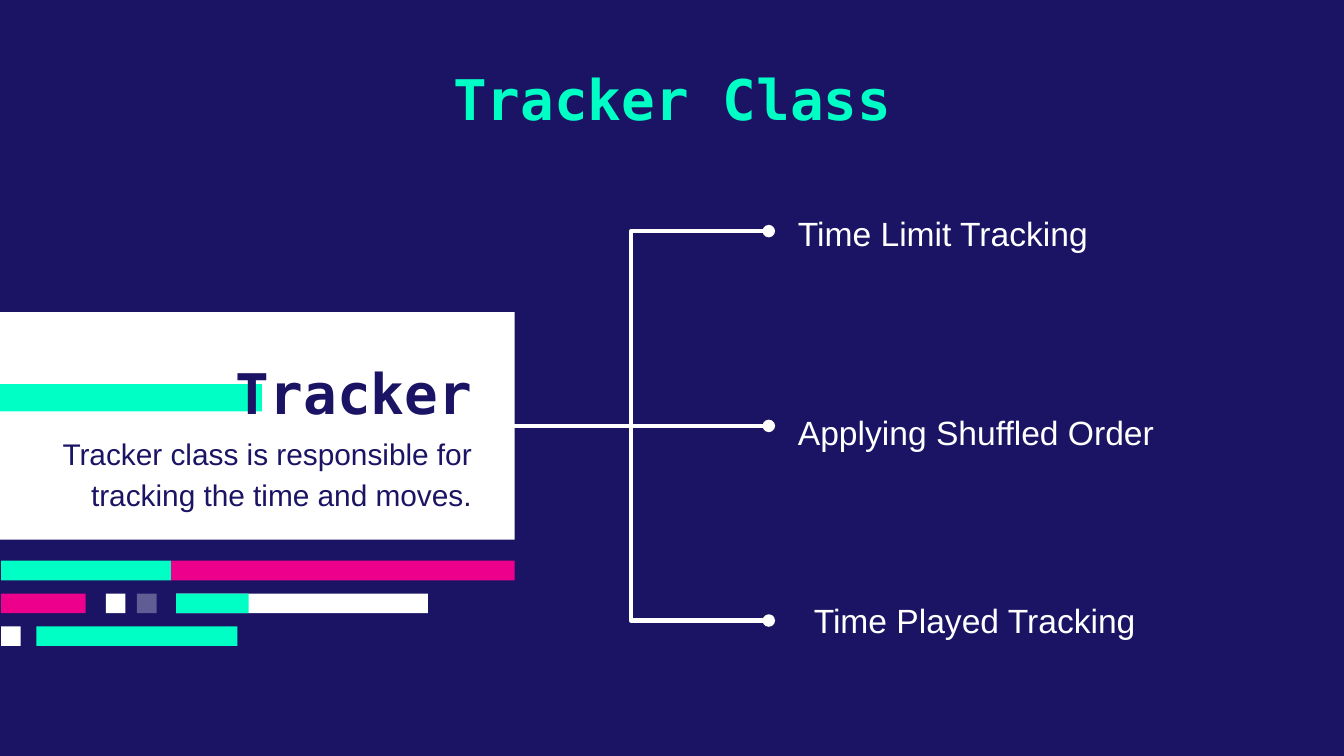
import pptx
import pptx.dml.color
import pptx.enum.shapes
import pptx.enum.text
import pptx.oxml.ns
import pptx.util
from lxml import etree

Cm = pptx.util.Cm
Align = pptx.enum.text.PP_ALIGN
Anchor = pptx.enum.text.MSO_ANCHOR
Connector = pptx.enum.shapes.MSO_CONNECTOR
qn = pptx.oxml.ns.qn


def color(value):
    return pptx.dml.color.RGBColor.from_string(value)


def write(box, text, font="Arial", size=18, ink="FFFFFF", bold=False,
          align=Align.LEFT, anchor=Anchor.TOP, spacing=None, indent=0, inset=0):
    frame = box.text_frame
    frame.word_wrap = True
    frame.vertical_anchor = anchor
    frame.margin_left = frame.margin_right = Cm(0.25)
    frame.margin_top = frame.margin_bottom = Cm(inset)
    para = frame.paragraphs[0]
    para.alignment = align
    if spacing:
        para.line_spacing = spacing
    if indent:
        para._p.get_or_add_pPr().set("marL", str(Cm(indent)))
    span = para.add_run()
    span.text = text
    span.font.name = font
    span.font.size = pptx.util.Pt(size)
    span.font.bold = bold
    span.font.color.rgb = color(ink)


class Slide:
    navy, mint, pink, white = "1B1464", "00FFC5", "EC008C", "FFFFFF"
    mono = "DejaVu Sans Mono"

    def __init__(self, deck):
        self.page = deck.slides.add_slide(deck.slide_layouts[6])
        fill = self.page.background.fill
        fill.solid()
        fill.fore_color.rgb = color(self.navy)

    def text(self, left, top, width, height, words, **style):
        box = self.page.shapes.add_textbox(Cm(left), Cm(top), Cm(width), Cm(height))
        write(box, words, **style)

    def bar(self, left, top, width, height, paint, opacity=100):
        shape = self.page.shapes.add_shape(
            pptx.enum.shapes.MSO_SHAPE.RECTANGLE,
            Cm(left), Cm(top), Cm(width), Cm(height))
        shape.shadow.inherit = False
        shape.fill.solid()
        shape.fill.fore_color.rgb = color(paint)
        shape.line.fill.background()
        if opacity < 100:
            tint = shape._element.spPr.find(qn("a:solidFill"))[0]
            etree.SubElement(tint, qn("a:alpha"), val=str(opacity * 1000))

    def branch(self, kind, left, top, right, bottom):
        link = self.page.shapes.add_connector(
            kind, Cm(left), Cm(top), Cm(right), Cm(bottom))
        link.line.color.rgb = color(self.white)
        link.line.width = pptx.util.Pt(2.25)
        etree.SubElement(link.line._get_or_add_ln(), qn("a:tailEnd"), type="oval")
        etree.SubElement(link._element.spPr, qn("a:effectLst"))


def main():
    deck = pptx.Presentation()
    deck.slide_width, deck.slide_height = Cm(25.4), Cm(14.29)
    slide = Slide(deck)
    navy, mint, pink, white = slide.navy, slide.mint, slide.pink, slide.white
    heading = dict(font=slide.mono, size=30, bold=True)

    slide.bar(0, 5.9, 9.73, 4.3, white)
    slide.text(3.56, 0.97, 18.29, 1.85, "Tracker Class",
               ink=mint, align=Align.CENTER, inset=0.25, **heading)
    slide.text(-0.56, 8.13, 9.73, 1.22,
               "Tracker class is responsible for tracking the time and moves.",
               size=16, ink=navy, align=Align.RIGHT, spacing=1.15)

    features = [
        ("Time Limit Tracking", 3.91, 7.49, 0),
        ("Applying Shuffled Order", 7.67, 8.59, 0),
        ("Time Played Tracking", 11.23, 9.5, 0.3),
    ]
    for words, top, width, indent in features:
        slide.text(14.83, top, width, 0.76, words, spacing=1.15, indent=indent)

    slide.bar(0, 7.26, 4.95, 0.52, mint)
    slide.text(2.41, 6.86, 6.76, 1.09, "Tracker",
               ink=navy, align=Align.RIGHT, anchor=Anchor.MIDDLE, **heading)

    code_rows = [
        [(3.23, 6.5, pink), (0.02, 3.21, mint)],
        [(3.33, 4.76, white), (3.33, 1.37, mint), (0.02, 1.6, pink),
         (2.59, 0.37, white, 31), (2, 0.37, white)],
        [(0.02, 0.37, white), (0.69, 3.8, mint)],
    ]
    for row, bars in enumerate(code_rows):
        for left, width, *paint in bars:
            slide.bar(left, 10.6 + 0.62 * row, width, 0.37, *paint)

    middle, rise, tip = 8.05, 3.68, 14.53
    slide.branch(Connector.ELBOW, 9.32, middle, tip, middle - rise)
    slide.branch(Connector.STRAIGHT, 8.2, middle, tip, middle)
    slide.branch(Connector.ELBOW, 9.32, middle, tip, middle + rise)

    deck.save("out.pptx")


if __name__ == "__main__":
    main()
